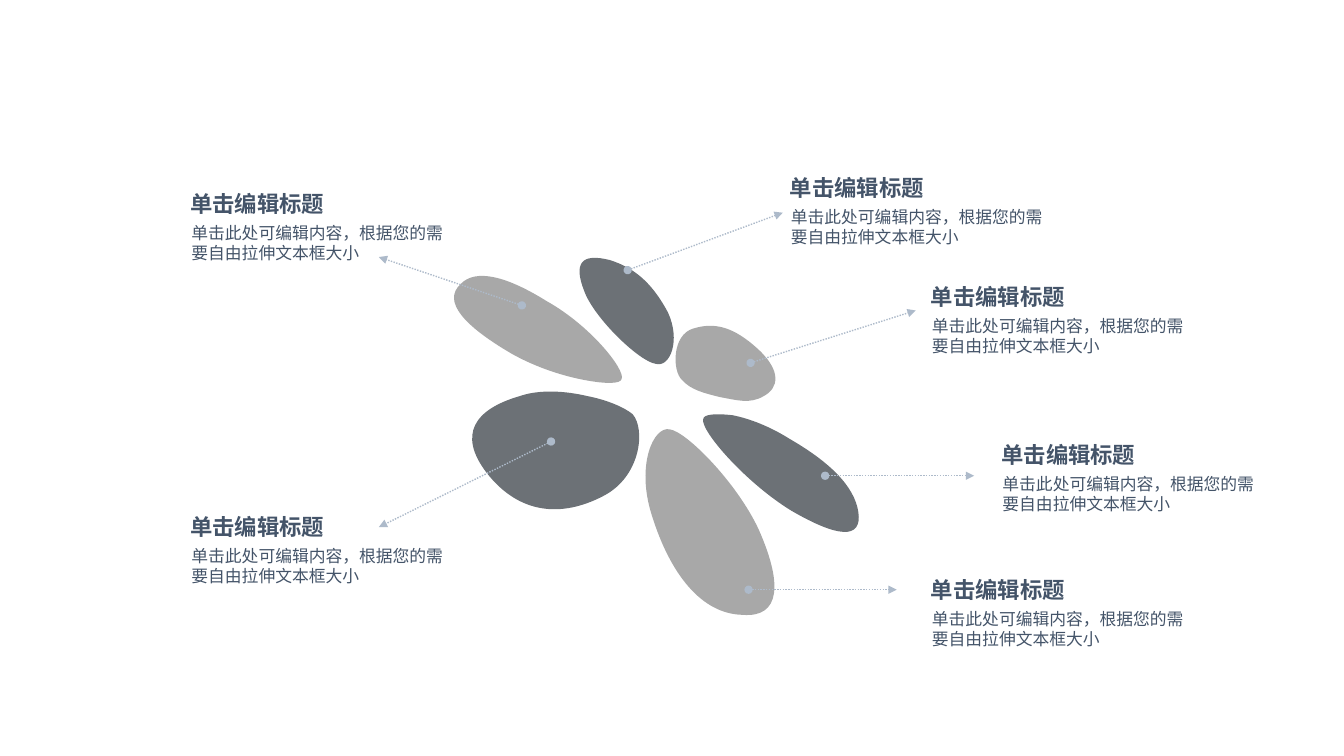
from lxml import etree
from pptx import Presentation
from pptx.dml.color import RGBColor
from pptx.enum.dml import MSO_LINE
from pptx.enum.shapes import MSO_CONNECTOR
from pptx.enum.text import MSO_AUTO_SIZE
from pptx.oxml.ns import qn
from pptx.util import Inches, Pt

LIGHT = RGBColor(0xA8, 0xA8, 0xA8)
DARK = RGBColor(0x6C, 0x71, 0x76)
LEADER = RGBColor(0xAD, 0xBA, 0xCA)
INK = RGBColor(0x44, 0x54, 0x69)
STRAIGHT = MSO_CONNECTOR.STRAIGHT
DOTTED = MSO_LINE.ROUND_DOT
FIT = MSO_AUTO_SIZE.SHAPE_TO_FIT_TEXT
FONT = "Arial"
TITLE = "单击编辑标题"
BODY = "单击此处可编辑内容，根据您的需要自由拉伸文本框大小"

# Each petal: colour, start point, then cubic curves (control, control, end)
PETALS = [
    (LIGHT, (6.65, 4.26), [
        (6.49, 4.22), (6.31, 4.61), (6.47, 5.11),
        (6.65, 5.69), (6.96, 6.09), (7.37, 6.1),
        (7.75, 6.13), (7.77, 5.79), (7.53, 5.25),
        (7.31, 4.78), (6.81, 4.28), (6.65, 4.26)]),
    (DARK, (6.98, 4.16), [
        (6.95, 4.27), (7.4, 4.79), (7.86, 5.07),
        (8.31, 5.33), (8.56, 5.36), (8.52, 5.08),
        (8.48, 4.82), (8.23, 4.58), (7.83, 4.35),
        (7.64, 4.23), (7.43, 4.15), (7.27, 4.12),
        (7.1, 4.1), (6.98, 4.11), (6.98, 4.16)]),
    (DARK, (6.51, 3.61), [
        (6.65, 3.65), (6.76, 3.38), (6.63, 3.1),
        (6.48, 2.82), (6.31, 2.66), (6.05, 2.58),
        (5.77, 2.51), (5.69, 2.61), (5.8, 2.89),
        (5.9, 3.16), (6.35, 3.59), (6.51, 3.61)]),
    (LIGHT, (6.17, 3.76), [
        (6.21, 3.67), (5.86, 3.23), (5.43, 2.99),
        (5.03, 2.74), (4.72, 2.66), (4.57, 2.82),
        (4.39, 2.99), (4.6, 3.23), (5.08, 3.51),
        (5.33, 3.65), (5.59, 3.73), (5.8, 3.77),
        (6.01, 3.81), (6.16, 3.81), (6.17, 3.76)]),
    (LIGHT, (6.77, 3.77), [
        (6.86, 3.87), (6.99, 3.9), (7.15, 3.94),
        (7.32, 3.97), (7.44, 4.01), (7.58, 3.93),
        (7.73, 3.85), (7.76, 3.68), (7.52, 3.46),
        (7.29, 3.25), (7.1, 3.19), (6.88, 3.26),
        (6.67, 3.32), (6.67, 3.68), (6.77, 3.77)]),
    (DARK, (6.28, 4.11), [
        (6.21, 4.05), (6.04, 3.97), (5.83, 3.93),
        (5.62, 3.88), (5.36, 3.86), (5.16, 3.93),
        (4.71, 4.06), (4.54, 4.31), (4.83, 4.69),
        (5.15, 5.1), (5.57, 5.14), (5.99, 4.92),
        (6.36, 4.73), (6.41, 4.26), (6.28, 4.11)]),
]

# Each callout: leader start, leader end, top left of its title
CALLOUTS = [
    ((5.18, 3.03), (3.76, 2.55), (1.89, 1.89)),
    ((5.47, 4.38), (3.76, 5.23), (1.89, 5.09)),
    ((6.23, 2.68), (7.77, 2.11), (7.84, 1.73)),
    ((7.45, 3.6), (9.09, 3.08), (9.24, 2.81)),
    ((7.43, 5.85), (8.9, 5.85), (9.24, 5.72)),
    ((8.19, 4.72), (9.67, 4.72), (9.94, 4.38)),
]


def bend_segments(shape):
    """Turn every three line segments of a freeform into one cubic curve."""
    lines = list(shape._element.iter(qn("a:lnTo")))
    for i in range(0, len(lines) - 2, 3):
        curve = etree.Element(qn("a:cubicBezTo"))
        lines[i].addprevious(curve)
        for line in lines[i:i + 3]:
            curve.append(line[0])
            line.getparent().remove(line)


def add_text(x, y, width, height, text, size, bold, space):
    box = s.shapes.add_textbox(Inches(x), Inches(y), Inches(width), Inches(height))
    tf = box.text_frame
    tf.word_wrap = True
    tf.auto_size = FIT
    tf.margin_left = tf.margin_top = tf.margin_right = tf.margin_bottom = 0
    p = tf.paragraphs[0]
    p.text = text
    p.space_before = Pt(space)
    p.font.name = FONT
    p.font.size = Pt(size)
    p.font.bold = bold
    p.font.color.rgb = INK
    # The East Asian typeface has no public setter
    props = p._p.pPr.find(qn("a:defRPr"))
    etree.SubElement(props, qn("a:ea"), typeface=FONT)


prs = Presentation()
prs.slide_width = Inches(13.34)
prs.slide_height = Inches(7.5)
s = prs.slides.add_slide(prs.slide_layouts[6])

for color, start, points in PETALS:
    builder = s.shapes.build_freeform(*map(Inches, start))
    builder.add_line_segments([(Inches(x), Inches(y)) for x, y in points])
    petal = builder.convert_to_shape()
    bend_segments(petal)
    petal.shadow.inherit = False
    petal.fill.solid()
    petal.fill.fore_color.rgb = color
    petal.line.fill.background()

for start, end, (x, y) in CALLOUTS:
    leader = s.shapes.add_connector(STRAIGHT, *map(Inches, start + end))
    leader.line.color.rgb = LEADER
    leader.line.width = Pt(1)
    leader.line.dash_style = DOTTED
    ln = leader.line._get_or_add_ln()
    etree.SubElement(ln, qn("a:headEnd"), type="oval")
    etree.SubElement(ln, qn("a:tailEnd"), type="triangle")
    etree.SubElement(leader._element.spPr, qn("a:effectLst"))

    add_text(x, y, 1.4, 0.27, TITLE, 16, True, 4)
    add_text(x + 0.01, y + 0.32, 2.55, 0.4, BODY, 12, False, 3)

prs.save("out.pptx")
